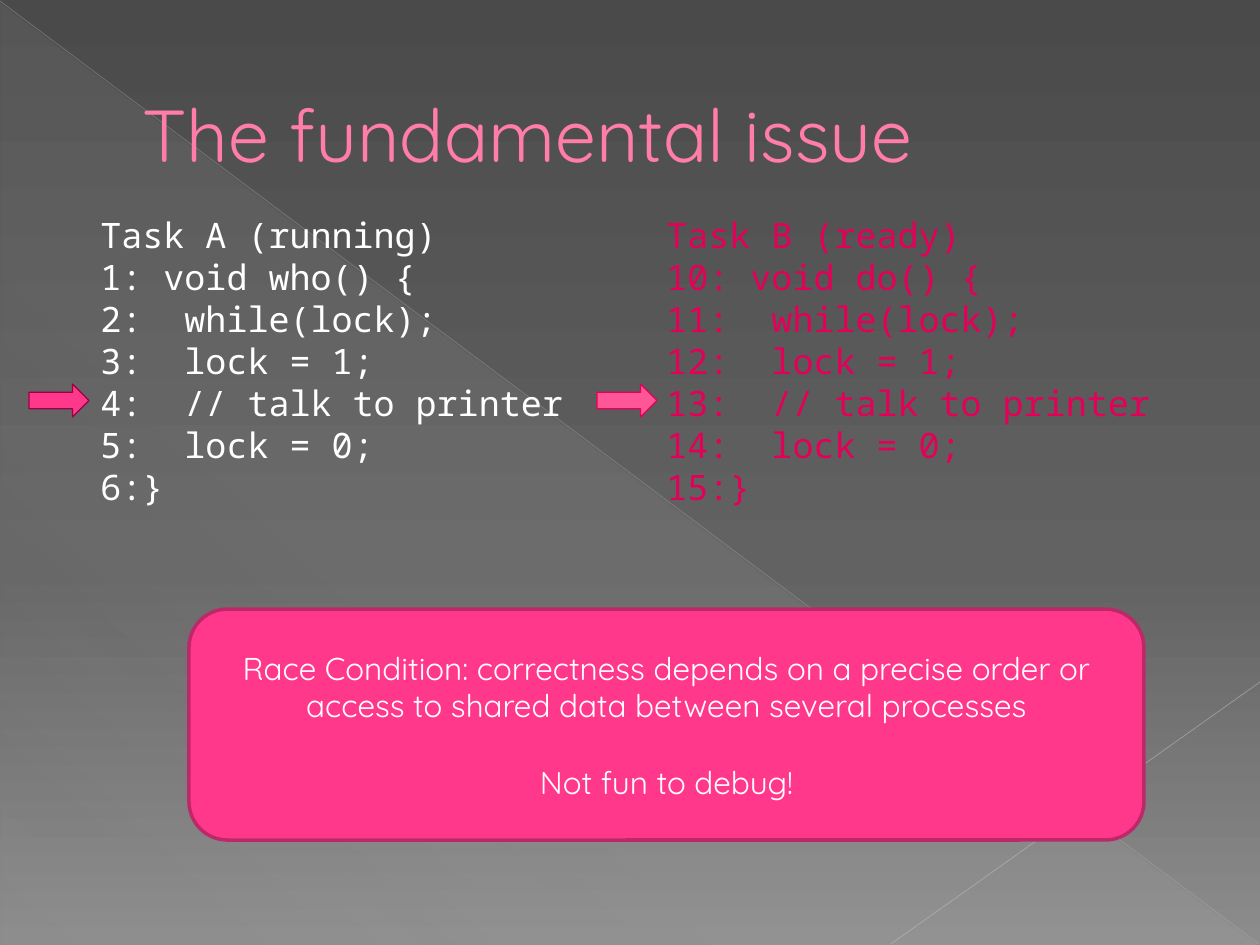
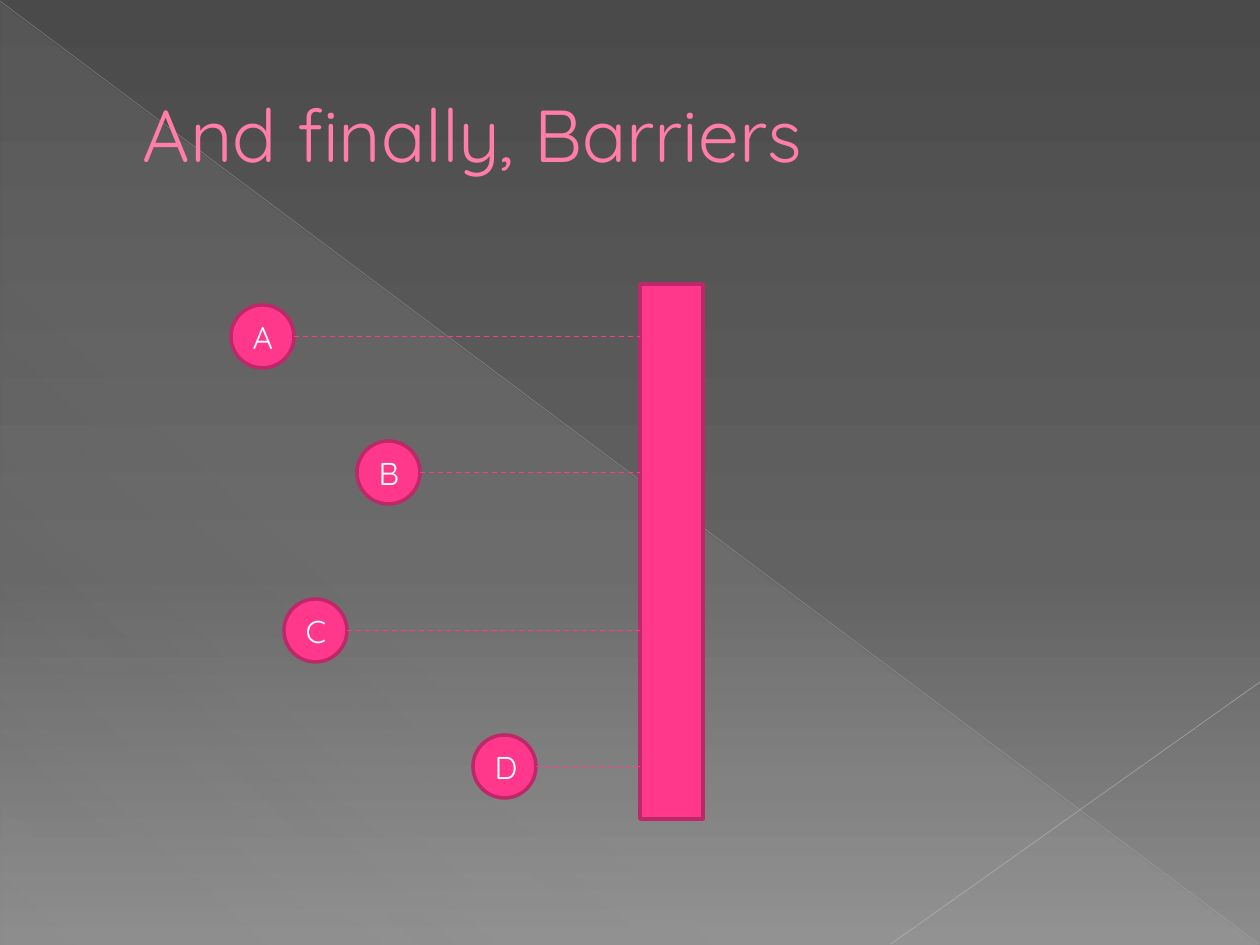
from lxml import etree
from pptx import Presentation
from pptx.dml.color import RGBColor
from pptx.enum.dml import MSO_LINE
from pptx.enum.shapes import MSO_CONNECTOR, MSO_SHAPE
from pptx.enum.text import MSO_ANCHOR, MSO_AUTO_SIZE, PP_ALIGN
from pptx.oxml.ns import qn
from pptx.util import Pt

STRAIGHT = MSO_CONNECTOR.STRAIGHT
DASH = MSO_LINE.DASH
MIDDLE = MSO_ANCHOR.MIDDLE
LEFT, CENTER = PP_ALIGN.LEFT, PP_ALIGN.CENTER

# Shared style
PX = 914400 / 126
SANS, MONO = "Quicksand", "Noto Sans Mono"
WHITE, PINK, PINK_EDGE = "FFFFFF", "FF388C", "BD2968"
TITLE_COLOR, TITLE_EDGE = "FF7DA7", "B12761"
BACKDROP = [(0, "4A4A4A", 100), (60, "626262", 100), (100, "8C8C8C", 100)]
SHEEN = [(0, "D2D2D2", 10), (70, "D2D2D2", 8), (100, "D2D2D2", 1)]
# start, end, colour, width in points, opacity in percent
DIAGONALS = [
    ((0, 1), (1259, 944), "BFBFBF", 0.39, 35),
    ((1260, 682), (891, 944), "C6C6C6", 0.47, 45),
]

# Slide 1 content: code, text colour, left edge, arrow left, arrow fill and edge
RACE_TITLE = "The fundamental issue"
TASKS = [
    (["Task A (running)", "1: void who() {", "2:  while(lock);", "3:  lock = 1;",
      "4:  // talk to printer", "5:  lock = 0;", "6:}"],
     WHITE, 88, 29, PINK, "9C0042"),
    (["Task B (ready)", "10: void do() {", "11:  while(lock);", "12:  lock = 1;",
      "13:  // talk to printer", "14:  lock = 0;", "15:}"],
     "E40059", 654, 597, "FF5698", "E40059"),
]
RACE_NOTE = [
    "Race Condition: correctness depends on a precise order or "
    "access to shared data between several processes",
    "Not fun to debug!",
]

# Slide 2 content: name, left, top of each process
BARRIER_TITLE = "And finally, Barriers"
PROCESSES = [("A", 231, 305), ("B", 357, 441), ("C", 284, 599), ("D", 473, 735)]
BARRIER = (640, 284, 63, 535)
NODE = 63


def emu(*lengths):
    return [round(n * PX) for n in lengths]


def rgb(value):
    return RGBColor.from_string(value)


def sub(parent, tag, **attrs):
    return etree.SubElement(parent, qn(tag), {k: str(v) for k, v in attrs.items()})


def set_gradient(fill, root, stops, angle):
    fill.gradient()
    grad = root.find(".//" + qn("a:gradFill"))
    for child in list(grad):
        grad.remove(child)
    stop_list = sub(grad, "a:gsLst")
    for pos, color, opacity in stops:
        clr = sub(sub(stop_list, "a:gs", pos=pos * 1000), "a:srgbClr", val=color)
        if opacity < 100:
            sub(clr, "a:alpha", val=opacity * 1000)
    sub(grad, "a:lin", ang=angle * 60000, scaled=0)


def write(tf, lines, size, font, color, align=LEFT, gap=0):
    tf.word_wrap = True
    for i, text in enumerate(lines):
        p = tf.add_paragraph() if i else tf.paragraphs[0]
        p.alignment = align
        if i and gap:
            p.space_before = Pt(gap)
        r = p.add_run()
        r.text = text
        r.font.size, r.font.name = Pt(size), font
        r.font.color.rgb = rgb(color)


def add_shape(s, kind, box, fill=PINK, edge=PINK_EDGE, width=2):
    sp = s.shapes.add_shape(kind, *emu(*box))
    sp.shadow.inherit = False
    sp.fill.solid()
    sp.fill.fore_color.rgb = rgb(fill)
    sp.line.color.rgb = rgb(edge)
    sp.line.width = Pt(width)
    return sp


def add_label(sp, lines, gap=0):
    sp.text_frame.vertical_anchor = MIDDLE
    write(sp.text_frame, lines, 18, SANS, WHITE, CENTER, gap)


def add_line(s, start, end, color, width, opacity=100):
    line = s.shapes.add_connector(STRAIGHT, *emu(*start, *end))
    line.line.color.rgb = rgb(color)
    line.line.width = Pt(width)
    sp_pr = line._element.spPr
    if opacity < 100:
        sub(sp_pr.find(".//" + qn("a:srgbClr")), "a:alpha", val=opacity * 1000)
    sub(sp_pr, "a:effectLst")
    return line


def add_slide(prs, title_text):
    s = prs.slides.add_slide(prs.slide_layouts[5])
    # Sheen and diagonals lie behind the title
    sheen = s.shapes.add_shape(MSO_SHAPE.RIGHT_TRIANGLE, *emu(1, 3, 1257, 942))
    sheen.shadow.inherit = False
    sheen.line.fill.background()
    set_gradient(sheen.fill, sheen._element.spPr, SHEEN, 133)
    for diagonal in DIAGONALS:
        add_line(s, *diagonal)
    title = s.shapes.title
    s.shapes._spTree.append(title._element)
    title.left, title.top, title.width, title.height = emu(63, 37, 1134, 193)
    tf = title.text_frame
    tf.auto_size = MSO_AUTO_SIZE.NONE
    tf.vertical_anchor = MIDDLE
    write(tf, [title_text], 42, SANS, TITLE_COLOR)
    p = tf.paragraphs[0]
    p_pr = p._p.get_or_add_pPr()
    p_pr.set("marL", str(emu(67)[0]))
    p_pr.set("indent", "0")
    # Thin outline around the letters
    r_pr = p.runs[0]._r.get_or_add_rPr()
    outline = sub(r_pr, "a:ln", w=Pt(0.5))
    sub(sub(outline, "a:solidFill"), "a:srgbClr", val=TITLE_EDGE)
    r_pr.insert(0, outline)
    return s


def build_race(prs):
    s = add_slide(prs, RACE_TITLE)
    for code, color, left, arrow_left, fill, edge in TASKS:
        tb = s.shapes.add_textbox(*emu(left, 207, 534, 310))
        write(tb.text_frame, code, 20, MONO, color)
        tb.text_frame.auto_size = MSO_AUTO_SIZE.SHAPE_TO_FIT_TEXT
        add_shape(s, MSO_SHAPE.RIGHT_ARROW, (arrow_left, 384, 60, 33), fill, edge, 0.75)
    note = add_shape(s, MSO_SHAPE.ROUNDED_RECTANGLE, (189, 609, 955, 231))
    add_label(note, RACE_NOTE, gap=22)


def build_barriers(prs):
    s = add_slide(prs, BARRIER_TITLE)
    add_shape(s, MSO_SHAPE.RECTANGLE, BARRIER)
    for name, left, top in PROCESSES:
        add_label(add_shape(s, MSO_SHAPE.OVAL, (left, top, NODE, NODE)), [name])
    for _, left, top in PROCESSES:
        y = top + NODE / 2
        wait = add_line(s, (left + NODE, y), (BARRIER[0], y), PINK, 0.75)
        wait.line.dash_style = DASH


def main():
    prs = Presentation()
    prs.slide_width, prs.slide_height = emu(1260, 945)
    master = prs.slide_master
    set_gradient(master.background.fill, master._element.cSld, BACKDROP, 90)
    build_race(prs)
    build_barriers(prs)
    prs.save("out.pptx")


if __name__ == "__main__":
    main()
